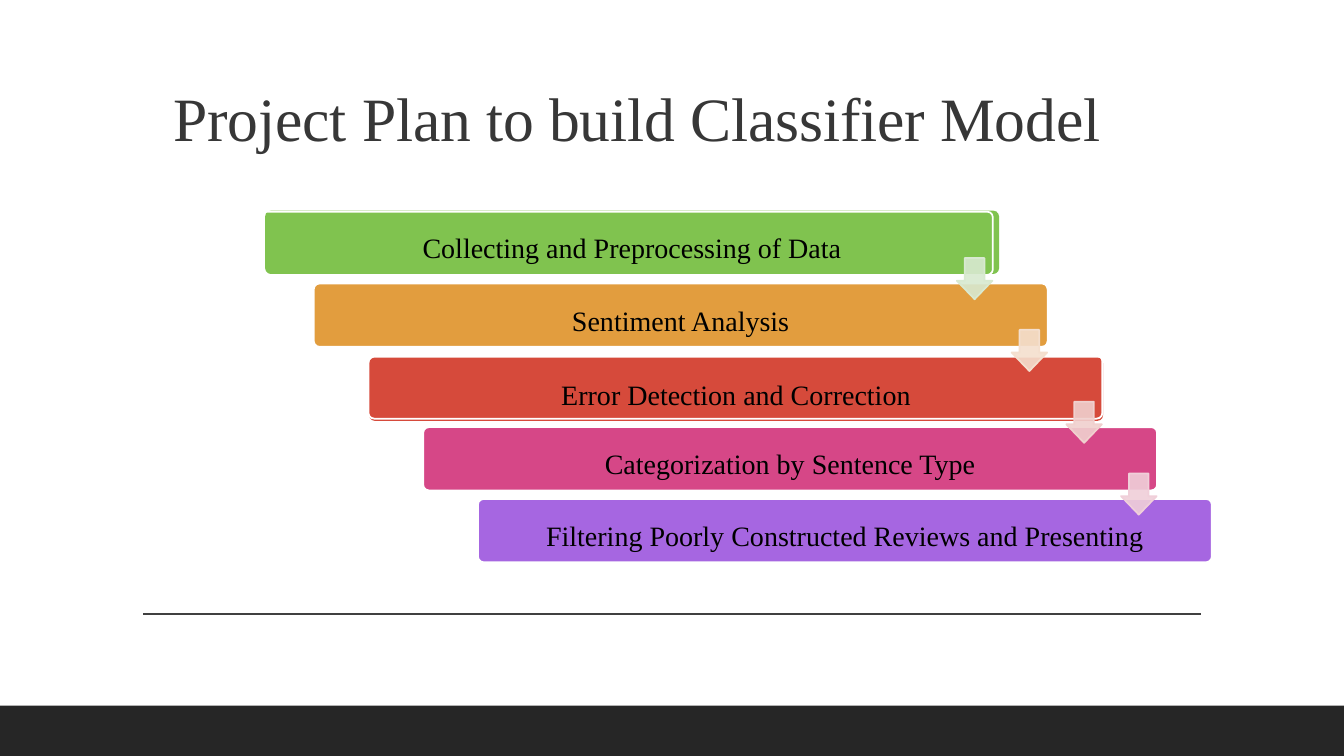
from lxml import etree
from pptx import Presentation
from pptx.dml.color import RGBColor
from pptx.enum import shapes, text
from pptx.oxml import ns
from pptx.util import Pt

WHITE = RGBColor(0xFF, 0xFF, 0xFF)
BLACK = RGBColor(0x00, 0x00, 0x00)
TITLE_GREY = RGBColor(0x37, 0x37, 0x37)
RULE_GREY = RGBColor(0x40, 0x40, 0x40)
FOOTER_GREY = RGBColor(0x26, 0x26, 0x26)
GREEN, PALE_GREEN = RGBColor(0x80, 0xC3, 0x4F), RGBColor(0xD8, 0xE9, 0xD0)
ORANGE, PALE_ORANGE = RGBColor(0xE2, 0x9D, 0x3E), RGBColor(0xF4, 0xDF, 0xCE)
RED, PALE_RED = RGBColor(0xD6, 0x4A, 0x3B), RGBColor(0xF0, 0xD0, 0xCE)
PINK, PALE_PINK = RGBColor(0xD6, 0x47, 0x87), RGBColor(0xF0, 0xCF, 0xD9)
PURPLE = RGBColor(0xA6, 0x66, 0xE1)

FONT = "Times New Roman"
TITLE = "Project Plan to build Classifier Model"
# Step text, bar colour, shift of the bar from its white outline
STEPS = [
    ("Collecting and Preprocessing of Data", GREEN, (4.4, -0.7)),
    ("Sentiment Analysis", ORANGE, (0, 0)),
    ("Error Detection and Correction", RED, (0.5, 1.6)),
    ("Categorization by Sentence Type", PINK, (0, 0)),
    ("Filtering Poorly Constructed Reviews and Presenting", PURPLE, (0, 0)),
]
ARROW_COLORS = [PALE_GREEN, PALE_ORANGE, PALE_RED, PALE_PINK]

SLIDE_WIDTH, SLIDE_HEIGHT = 960, 540
FOOTER_TOP = 504
STEP_X, STEP_Y = 39.1, 51.3
BAR_LEFT, BAR_TOP, BAR_WIDTH, BAR_HEIGHT = 185, 151.2, 524.2, 45.2
ARROW_LEFT, ARROW_TOP, ARROW_WIDTH, ARROW_HEIGHT = 683.5, 184.3, 25.4, 29.4


def write_text(shape, content, size, color, align, anchor, line_spacing):
    frame = shape.text_frame
    frame.text = content
    frame.word_wrap = True
    frame.auto_size = text.MSO_AUTO_SIZE.NONE
    frame.vertical_anchor = anchor
    paragraph = frame.paragraphs[0]
    paragraph.alignment = align
    paragraph.line_spacing = line_spacing
    font = paragraph.runs[0].font
    font.name, font.size, font.color.rgb = FONT, Pt(size), color


def add_preset(slide, kind, box, fill=None, line=None, adjustments=()):
    shape = slide.shapes.add_shape(kind, *map(Pt, box))
    shape.shadow.inherit = False
    for index, value in enumerate(adjustments):
        shape.adjustments[index] = value
    if fill is None:
        shape.fill.background()
    else:
        shape.fill.solid()
        shape.fill.fore_color.rgb = fill
    if line is None:
        shape.line.fill.background()
    else:
        shape.line.color.rgb = line
        shape.line.width = Pt(1.25)
    return shape


def add_title(slide):
    title = slide.shapes.title
    title.left, title.top, title.width, title.height = map(Pt, (116.6, 19.4, 689.8, 95))
    write_text(title, TITLE, 44, TITLE_GREY, text.PP_ALIGN.LEFT,
               text.MSO_ANCHOR.BOTTOM, 0.9)
    run = title.text_frame.paragraphs[0].runs[0]
    run.font._element.set("spc", "-10")


def add_rule(slide):
    rule = slide.shapes.add_connector(
        shapes.MSO_CONNECTOR.STRAIGHT, Pt(102.2), Pt(438.5), Pt(858.2), Pt(438.5))
    rule.line.color.rgb = RULE_GREY
    rule.line.width = Pt(1)
    etree.SubElement(rule._element.spPr, ns.qn("a:effectLst"))


def add_step(slide, index, label, color, shift):
    left, top = BAR_LEFT + index * STEP_X, BAR_TOP + index * STEP_Y
    rounded = shapes.MSO_SHAPE.ROUNDED_RECTANGLE
    size = (BAR_WIDTH, BAR_HEIGHT)
    bar = add_preset(slide, rounded, (left + shift[0], top + shift[1], *size),
                     fill=color, adjustments=[0.09])
    frame = bar.text_frame
    frame.margin_left = frame.margin_right = frame.margin_bottom = 0
    frame.margin_top = Pt(1)
    write_text(bar, label, 20, BLACK, text.PP_ALIGN.CENTER, text.MSO_ANCHOR.TOP, 1.5)
    add_preset(slide, rounded, (left, top, *size), line=WHITE, adjustments=[0.09])


def add_arrow(slide, index, color):
    box = (ARROW_LEFT + index * STEP_X, ARROW_TOP + index * STEP_Y,
           ARROW_WIDTH, ARROW_HEIGHT)
    arrow = add_preset(slide, shapes.MSO_SHAPE.DOWN_ARROW, box, fill=color,
                       line=color, adjustments=[0.55, 0.52])
    fill_color = arrow._element.spPr.find(ns.qn("a:solidFill"))[0]
    etree.SubElement(fill_color, ns.qn("a:alpha"), val="90000")


def main():
    presentation = Presentation()
    presentation.slide_width, presentation.slide_height = Pt(SLIDE_WIDTH), Pt(SLIDE_HEIGHT)
    slide = presentation.slides.add_slide(presentation.slide_layouts[5])
    slide.background.fill.solid()
    slide.background.fill.fore_color.rgb = WHITE
    add_title(slide)
    add_rule(slide)
    add_preset(slide, shapes.MSO_SHAPE.RECTANGLE,
               (0, FOOTER_TOP, SLIDE_WIDTH, SLIDE_HEIGHT - FOOTER_TOP), fill=FOOTER_GREY)
    for index, step in enumerate(STEPS):
        add_step(slide, index, *step)
    for index, color in enumerate(ARROW_COLORS):
        add_arrow(slide, index, color)
    presentation.save("out.pptx")


if __name__ == "__main__":
    main()
